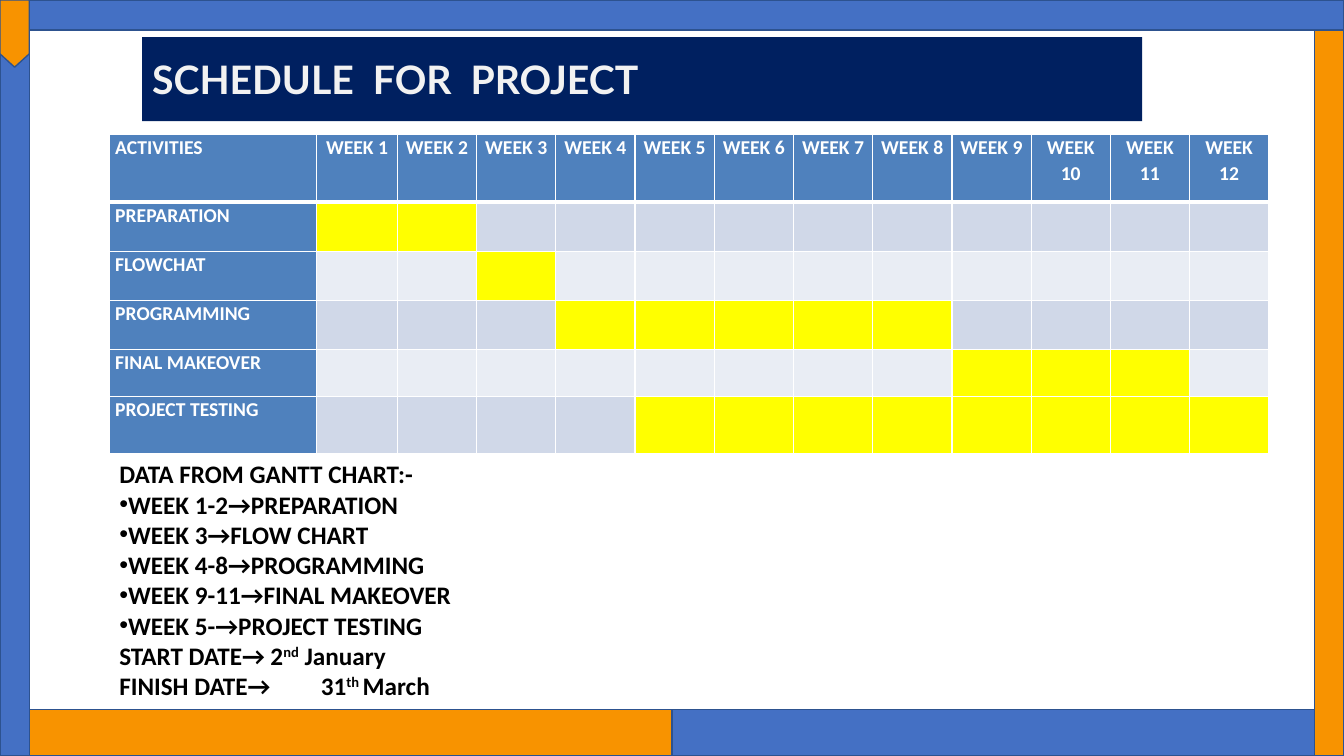
"""Build the project schedule slide with its weekly activity chart."""
from dataclasses import dataclass

from lxml import etree
from pptx import Presentation
from pptx.dml.color import RGBColor
from pptx.enum.shapes import MSO_SHAPE
from pptx.enum.text import MSO_ANCHOR, MSO_AUTO_SIZE, PP_ALIGN
from pptx.oxml.ns import qn
from pptx.util import Pt

RECT = MSO_SHAPE.RECTANGLE
MIDDLE = MSO_ANCHOR.MIDDLE
GROW = MSO_AUTO_SIZE.SHAPE_TO_FIT_TEXT
LEFT, CENTER, JUSTIFY = PP_ALIGN.LEFT, PP_ALIGN.CENTER, PP_ALIGN.JUSTIFY


@dataclass(frozen=True)
class Theme:
    blue: str = "4470C4"
    orange: str = "F89300"
    edge: str = "2D528F"
    navy: str = "002060"
    pale: str = "F2F2F2"
    head: str = "4F81BD"
    bands: tuple = ("D0D8E8", "E9EDF4")
    mark: str = "FFFF00"
    white: str = "FFFFFF"
    black: str = "000000"
    face: str = "Calibri"
    title_face: str = "Lato"
    title: float = 28
    body: float = 18
    cell: float = 14


@dataclass(frozen=True)
class Bar:
    x: float
    y: float
    w: float
    h: float
    fill: str


@dataclass(frozen=True)
class Task:
    name: str
    first: int
    last: int
    high: float


@dataclass(frozen=True)
class Line:
    runs: tuple
    dot: bool = False
    tab: float = 0


THEME = Theme()
WIDE, HIGH = 960, 540
SIDE, TOP, BASE = 20.9, 21.6, 507
HALF = WIDE / 2
WEEKS = 12
HEAD_HIGH = 48.2
COLS = [148.3, 57.6] + [56.6] * (WEEKS - 1)

BARS = (
    Bar(0, 0, WIDE, TOP, THEME.blue),
    Bar(0, TOP, SIDE, HIGH - TOP, THEME.blue),
    Bar(WIDE - SIDE, TOP, SIDE, HIGH - TOP, THEME.orange),
    Bar(SIDE, BASE, HALF - SIDE, HIGH - BASE, THEME.orange),
    Bar(HALF, BASE, HALF - SIDE, HIGH - BASE, THEME.blue),
)
TAG = ((0, 0), (SIDE, 0), (SIDE, 38.5), (SIDE / 2, 48), (0, 38.5))

TASKS = (
    Task("PREPARATION", 1, 2, 35.2),
    Task("FLOWCHAT", 3, 3, 35.2),
    Task("PROGRAMMING", 4, 8, 35.2),
    Task("FINAL MAKEOVER", 9, 11, 33.2),
    Task("PROJECT TESTING", 5, 12, 41),
)
LINES = (
    Line(("DATA FROM GANTT CHART:-",)),
    Line(("WEEK 1-2→PREPARATION",), dot=True),
    Line(("WEEK 3→FLOW CHART",), dot=True),
    Line(("WEEK 4-8→PROGRAMMING",), dot=True),
    Line(("WEEK 9-11→FINAL MAKEOVER",), dot=True),
    Line(("WEEK 5-→PROJECT TESTING",), dot=True),
    Line(("START DATE→\t2", "nd", " January"), tab=120.5),
    Line(("FINISH DATE→\t31", "th ", "March"), tab=124.5),
)


def paint(item, color: str) -> None:
    """Give a shape or cell a solid fill."""
    item.fill.solid()
    item.fill.fore_color.rgb = RGBColor.from_string(color)


def add_run(para, text: str, size: float, color: str, face: str = THEME.face):
    """Add one bold run and return it."""
    run = para.add_run()
    run.text = text
    run.font.name, run.font.size, run.font.bold = face, Pt(size), True
    run.font.color.rgb = RGBColor.from_string(color)
    return run


def place(shape, x: float, y: float, w: float, h: float) -> None:
    """Move and size a placeholder."""
    shape.left, shape.top, shape.width, shape.height = Pt(x), Pt(y), Pt(w), Pt(h)
    shape.text_frame.word_wrap = True
    shape.text_frame.auto_size = GROW


def trim(shape, color: str) -> None:
    """Fill and outline a part of the frame."""
    shape.shadow.inherit = False
    paint(shape, color)
    shape.line.color.rgb = RGBColor.from_string(THEME.edge)
    shape.line.width = Pt(0.96)


def draw_frame(slide) -> None:
    """Draw the border bars and the corner tag."""
    for bar in BARS:
        shape = slide.shapes.add_shape(RECT, Pt(bar.x), Pt(bar.y), Pt(bar.w), Pt(bar.h))
        trim(shape, bar.fill)
    points = [(Pt(x), Pt(y)) for x, y in TAG]
    form = slide.shapes.build_freeform(*points[0])
    form.add_line_segments(points[1:], close=True)
    trim(form.convert_to_shape(), THEME.orange)


def draw_title(slide) -> None:
    """Fill the title band."""
    title = slide.shapes.title
    place(title, 101.5, 36, 714.3, 41)
    paint(title, THEME.navy)
    title.text_frame.vertical_anchor = MIDDLE
    para = title.text_frame.paragraphs[0]
    para.alignment = LEFT
    add_run(para, "SCHEDULE  FOR  PROJECT", THEME.title, THEME.pale, THEME.title_face)


def edge_cell(cell, top: float, base: float) -> None:
    """Rule a cell in white."""
    props = cell._tc.get_or_add_tcPr()
    for side, width in (("L", 1), ("R", 1), ("T", top), ("B", base)):
        line = etree.SubElement(props, qn(f"a:ln{side}"), w=str(Pt(width)))
        fill = etree.SubElement(line, qn("a:solidFill"))
        etree.SubElement(fill, qn("a:srgbClr"), val=THEME.white)


def draw_cell(cell, row: int, col: int) -> None:
    """Fill one cell of the chart from its row and column."""
    cell.margin_left = cell.margin_right = Pt(4.3)
    cell.margin_top = cell.margin_bottom = 0
    edge_cell(cell, 3 if row == 1 else 1, 3 if row == 0 else 1)
    if row and col:
        task = TASKS[row - 1]
        busy = task.first <= col <= task.last
        paint(cell, THEME.mark if busy else THEME.bands[(row - 1) % 2])
        return
    paint(cell, THEME.head)
    text = f"WEEK {col}" if col else TASKS[row - 1].name if row else "ACTIVITIES"
    para = cell.text_frame.paragraphs[0]
    para.alignment = CENTER if col else JUSTIFY
    para.line_spacing, para.space_after = 1.07, Pt(8)
    add_run(para, text, THEME.cell, THEME.white)


def draw_chart(slide) -> None:
    """Draw the weekly activity table."""
    rows = [HEAD_HIGH] + [task.high for task in TASKS]
    table = slide.shapes.add_table(
        len(rows), len(COLS), Pt(78), Pt(96), Pt(sum(COLS)), Pt(sum(rows))).table
    for col, width in enumerate(COLS):
        table.columns[col].width = Pt(width)
    for row, high in enumerate(rows):
        table.rows[row].height = Pt(high)
        for col in range(len(COLS)):
            draw_cell(table.cell(row, col), row, col)


def draw_notes(slide) -> None:
    """Fill the body with the weeks and dates."""
    body = slide.placeholders[1]
    place(body, 78, 324, 558, 181.4)
    frame = body.text_frame
    for i, line in enumerate(LINES):
        para = frame.add_paragraph() if i else frame.paragraphs[0]
        para.alignment, para.space_before = JUSTIFY, Pt(0)
        props = para._p.get_or_add_pPr()
        props.set("marL", "0")
        props.set("indent", "0")
        if line.dot:
            etree.SubElement(props, qn("a:buFont"), typeface="Arial")
            etree.SubElement(props, qn("a:buChar"), char="•")
        else:
            etree.SubElement(props, qn("a:buNone"))
        if line.tab:
            tabs = etree.SubElement(props, qn("a:tabLst"))
            etree.SubElement(tabs, qn("a:tab"), pos=str(Pt(line.tab)), algn="l")
        for k, text in enumerate(line.runs):
            run = add_run(para, text, THEME.body, THEME.black)
            if k == 1:
                run._r.get_or_add_rPr().set("baseline", "30000")


def main() -> None:
    """Build and save the slide."""
    deck = Presentation()
    deck.slide_width, deck.slide_height = Pt(WIDE), Pt(HIGH)
    slide = deck.slides.add_slide(deck.slide_layouts[1])
    draw_frame(slide)
    draw_chart(slide)
    draw_notes(slide)
    draw_title(slide)
    deck.save("out.pptx")


if __name__ == "__main__":
    main()
